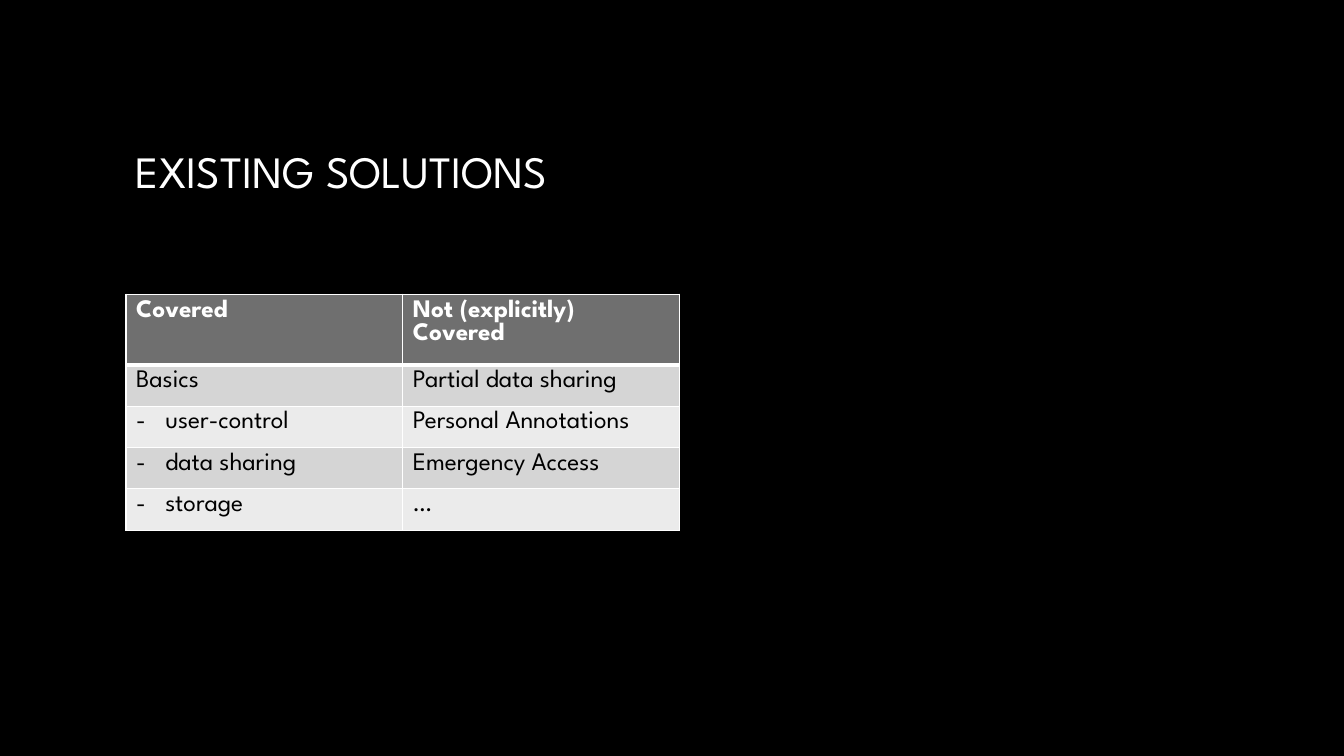
from lxml.etree import SubElement
from pptx import Presentation
from pptx.dml.color import RGBColor
from pptx.enum.text import MSO_ANCHOR
from pptx.oxml.ns import qn
from pptx.util import Inches, Pt

FONT = "League Spartan"
COLORS = {
    "background": "000000",
    "light_text": "FFFFFF",
    "dark_text": "000000",
    "border": "FFFFFF",
    "header": "6F6F6F",
    "odd_row": "D5D5D5",
    "even_row": "EBEBEB",
}
HEADINGS = ("Covered", "Not (explicitly) Covered")
SOLUTIONS = (
    ("Basics", "Partial data sharing"),
    ("- user-control", "Personal Annotations"),
    ("- data sharing", "Emergency Access"),
    ("- storage", "…"),
)
TABLE_WIDTH = 5.49
ROW_HEIGHT = 0.41
BULLET_INDENT = 0.29


def rgb(name):
    return RGBColor.from_string(COLORS[name])


def write(frame, text, size=18, color="dark_text", bold=False, bullet=None):
    paragraph = frame.paragraphs[0]
    run = paragraph.add_run()
    run.text = text
    run.font.name = FONT
    run.font.size = Pt(size)
    run.font.bold = bold
    run.font.color.rgb = rgb(color)
    if bullet:
        properties = paragraph._p.get_or_add_pPr()
        properties.set("marL", str(Inches(BULLET_INDENT)))
        properties.set("indent", str(-Inches(BULLET_INDENT)))
        SubElement(properties, qn("a:buFont"), typeface=FONT)
        SubElement(properties, qn("a:buChar"), char=bullet)


def add_borders(cell, **widths):
    """Draw cell borders; widths are points keyed by side: L, R, T, B."""
    properties = cell._tc.get_or_add_tcPr()
    for side, width in widths.items():
        line = SubElement(properties, qn(f"a:ln{side}"), w=str(Pt(width)))
        fill = SubElement(line, qn("a:solidFill"))
        SubElement(fill, qn("a:srgbClr"), val=COLORS["border"])


def fill_cell(cell, text, fill, bottom=1, top=1, **text_format):
    add_borders(cell, L=1, R=1, T=top, B=bottom)
    cell.fill.solid()
    cell.fill.fore_color.rgb = rgb(fill)
    if text.startswith("- "):
        text_format["bullet"] = "-"
        text = text.removeprefix("- ")
    write(cell.text_frame, text, **text_format)


def add_title(slide, text):
    title = slide.shapes.add_textbox(
        Inches(1.25), Inches(0.65), Inches(10.83), Inches(2.08))
    title.text_frame.word_wrap = True
    title.text_frame.vertical_anchor = MSO_ANCHOR.MIDDLE
    write(title.text_frame, text, size=32, color="light_text")


def add_solutions_table(slide):
    row_count, column_count = len(SOLUTIONS) + 1, len(HEADINGS)
    table = slide.shapes.add_table(
        row_count, column_count, Inches(1.25), Inches(2.92),
        Inches(TABLE_WIDTH), Inches(ROW_HEIGHT * row_count)).table
    for row in table.rows:
        row.height = Inches(ROW_HEIGHT)

    for column, heading in enumerate(HEADINGS):
        fill_cell(table.cell(0, column), heading, "header", bottom=3,
                  color="light_text", bold=True)
    for row, solutions in enumerate(SOLUTIONS, start=1):
        for column, solution in enumerate(solutions):
            fill_cell(table.cell(row, column), solution,
                      "odd_row" if row % 2 else "even_row",
                      top=3 if row == 1 else 1)


def main():
    presentation = Presentation()
    presentation.slide_width = Inches(13.33)
    presentation.slide_height = Inches(7.5)
    slide = presentation.slides.add_slide(presentation.slide_layouts[6])
    slide.background.fill.solid()
    slide.background.fill.fore_color.rgb = rgb("background")
    add_title(slide, "EXISTING SOLUTIONS")
    add_solutions_table(slide)
    presentation.save("out.pptx")


if __name__ == "__main__":
    main()
